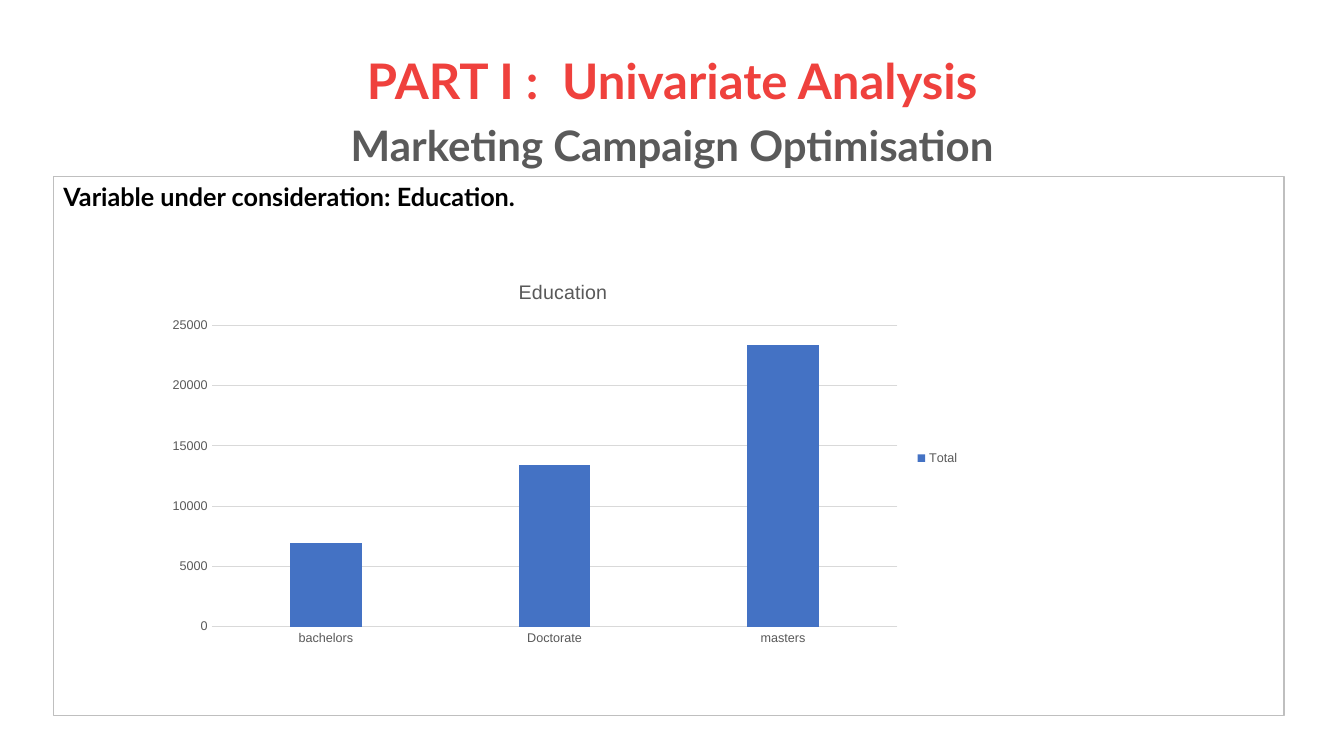
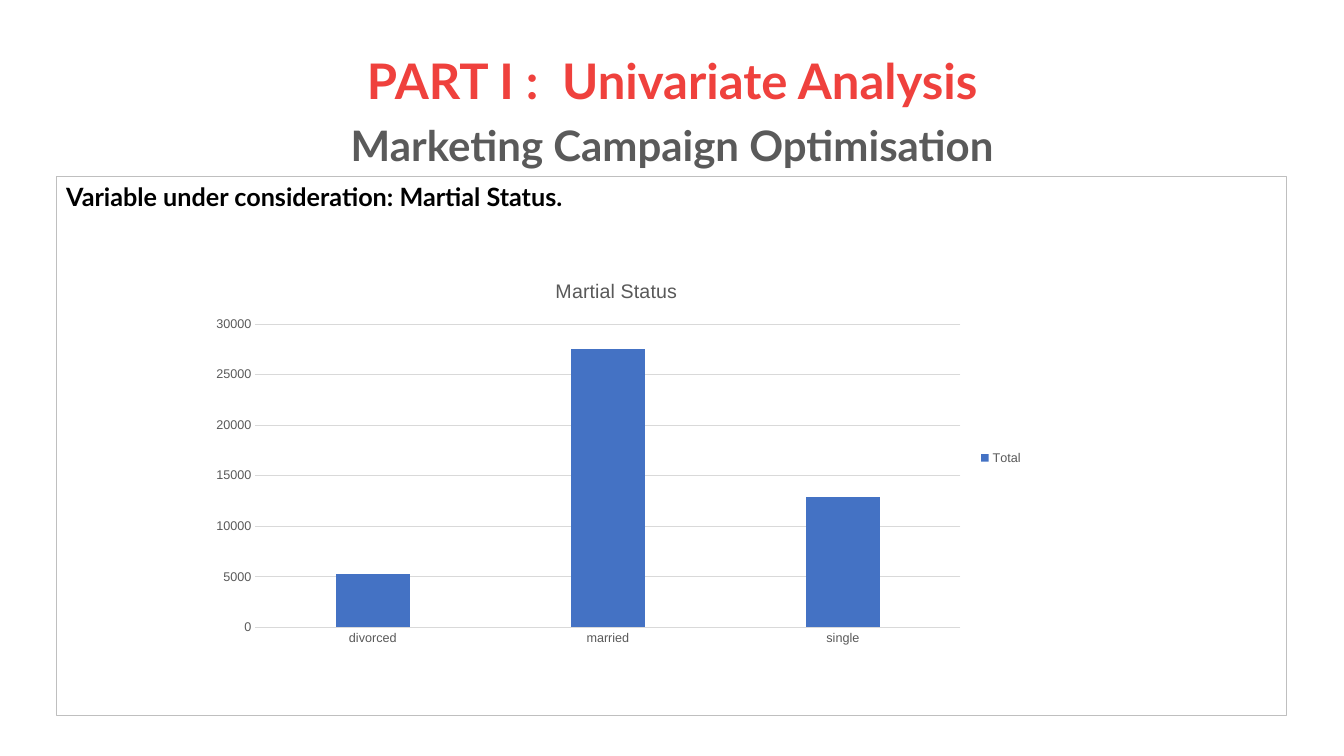
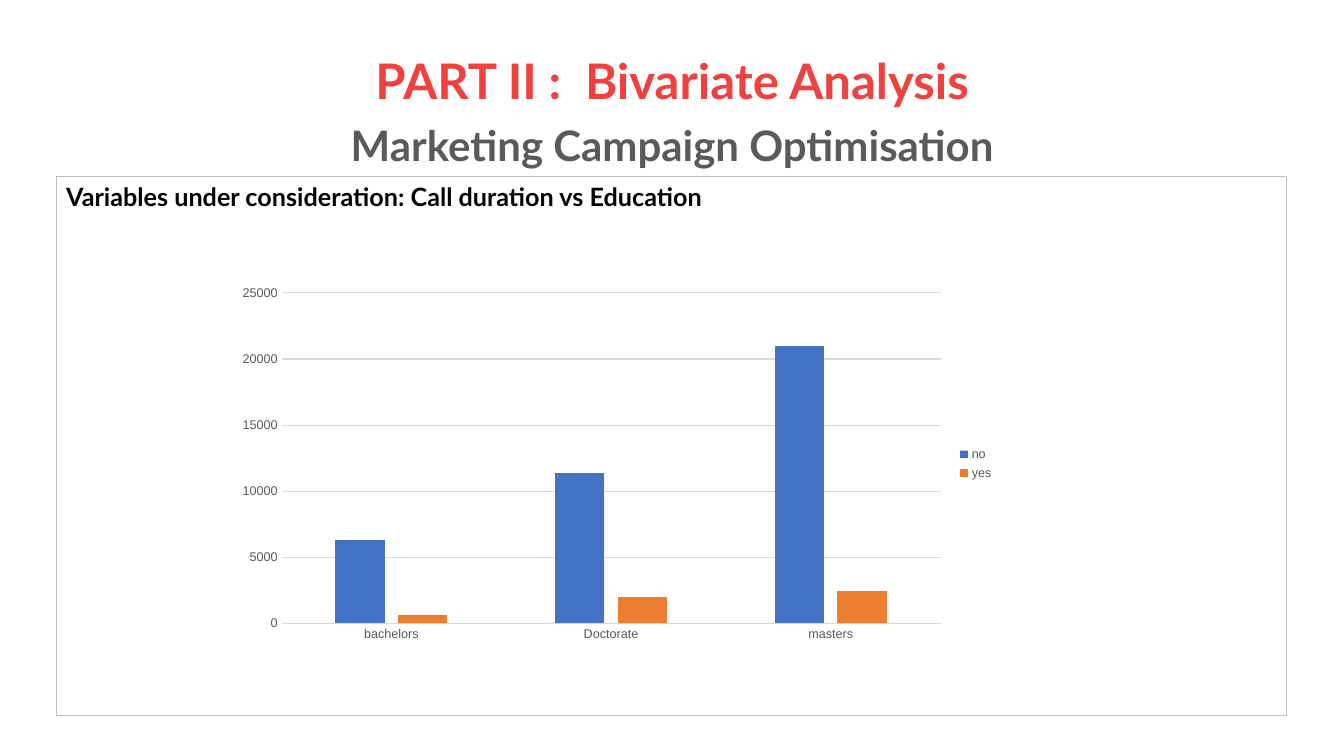
from pptx import Presentation
from pptx.chart.data import CategoryChartData
from pptx.dml.color import RGBColor
from pptx.enum.chart import XL_CHART_TYPE as ChartType, XL_LEGEND_POSITION as LegendPosition
from pptx.enum.chart import XL_TICK_MARK as TickMark
from pptx.enum.shapes import MSO_SHAPE as Shape
from pptx.enum.text import MSO_ANCHOR as Anchor, PP_ALIGN as Align
from pptx.util import Cm, Pt

RED = "EF413D"
GREY = "5A5A5A"
BLACK = "000000"
PANEL_LINE = "BFBFBF"
CHART_TEXT = "595959"
CHART_LINE = "D9D9D9"
SERIES_COLORS = ["4472C4", "ED7D31"]
TEXT_FONT = "Lato"
CHART_FONT = "Arial"
SUBTITLE = "Marketing Campaign Optimisation"

SLIDES = [
    {
        "title": "PART I :  Univariate Analysis",
        "heading": "Variable under consideration: Education.",
        "panel_left": 1.35,
        "chart_place": (3.94, 6.63, 20.5, 9.83),
        "chart_title": "Education",
        "categories": ["bachelors", "Doctorate", "masters"],
        "series": {"Total": [6900, 13400, 23400]},
        "top": 25000,
    },
    {
        "title": "PART I :  Univariate Analysis",
        "heading": "Variable under consideration: Martial Status.",
        "panel_left": 1.42,
        "chart_place": (5.03, 6.6, 21.01, 9.88),
        "chart_title": "Martial Status",
        "categories": ["divorced", "married", "single"],
        "series": {"Total": [5300, 27500, 12900]},
        "top": 30000,
    },
    {
        "title": "PART II :  Bivariate Analysis",
        "heading": "Variables under consideration: Call duration vs Education",
        "panel_left": 1.42,
        "chart_place": (5.72, 7.01, 19.58, 9.35),
        "chart_title": None,
        "categories": ["bachelors", "Doctorate", "masters"],
        "series": {"no": [6300, 11400, 21000], "yes": [600, 2000, 2400]},
        "top": 25000,
    },
]


def rgb(value):
    return RGBColor.from_string(value)


def set_font(font, size, color, name=TEXT_FONT, bold=False):
    font.size = Pt(size)
    font.name = name
    font.bold = bold
    font.color.rgb = rgb(color)


def write(para, text, size, color, name=TEXT_FONT, bold=True, align=Align.LEFT,
          before=0, spacing=1.0):
    para.alignment = align
    para.space_before = Pt(before)
    para.line_spacing = spacing
    span = para.add_run()
    span.text = text
    set_font(span.font, size, color, name, bold)


def add_title(page, title):
    box = page.shapes.add_textbox(Cm(2.34), Cm(1.02), Cm(29.21), Cm(3.68))
    frame = box.text_frame
    frame.word_wrap = True
    frame.vertical_anchor = Anchor.MIDDLE
    write(frame.paragraphs[0], title, 35, RED, align=Align.CENTER, spacing=0.9)
    write(frame.add_paragraph(), SUBTITLE, 30, GREY, align=Align.CENTER,
          before=10.8, spacing=0.9)


def add_panel(page, left, heading):
    panel = page.shapes.add_shape(Shape.RECTANGLE, Cm(left), Cm(4.45), Cm(31.01), Cm(13.59))
    panel.shadow.inherit = False
    panel.fill.background()
    panel.line.color.rgb = rgb(PANEL_LINE)
    panel.line.width = Pt(0.75)
    frame = panel.text_frame
    frame.word_wrap = True
    frame.vertical_anchor = Anchor.TOP
    write(frame.paragraphs[0], heading, 18, BLACK)


def style_line(line):
    line.color.rgb = rgb(CHART_LINE)
    line.width = Pt(0.75)


def style_axes(chart, top):
    for axis in (chart.category_axis, chart.value_axis):
        axis.major_tick_mark = TickMark.NONE
        axis.minor_tick_mark = TickMark.NONE
        set_font(axis.tick_labels.font, 9, CHART_TEXT, CHART_FONT)
    style_line(chart.category_axis.format.line)
    values = chart.value_axis
    values.format.line.fill.background()
    values.minimum_scale = 0
    values.maximum_scale = top
    values.major_unit = 5000
    style_line(values.major_gridlines.format.line)


def add_column_chart(page, place, title, categories, series, top):
    data = CategoryChartData()
    data.categories = categories
    for name, values in series.items():
        data.add_series(name, values)
    lengths = [Cm(length) for length in place]
    chart = page.shapes.add_chart(ChartType.COLUMN_CLUSTERED, *lengths, data).chart
    set_font(chart.font, 10, BLACK, CHART_FONT)
    chart.has_title = title is not None
    if title:
        write(chart.chart_title.text_frame.paragraphs[0], title, 14, CHART_TEXT,
              CHART_FONT, bold=False, align=Align.CENTER)
    chart.has_legend = True
    chart.legend.position = LegendPosition.RIGHT
    chart.legend.include_in_layout = False
    set_font(chart.legend.font, 9, CHART_TEXT, CHART_FONT)
    style_axes(chart, top)
    plot = chart.plots[0]
    plot.vary_by_categories = False
    plot.gap_width = 219
    plot.overlap = -27
    for columns, color in zip(plot.series, SERIES_COLORS):
        columns.format.fill.solid()
        columns.format.fill.fore_color.rgb = rgb(color)


def main():
    deck = Presentation()
    deck.slide_width = Cm(33.87)
    deck.slide_height = Cm(19.05)
    for content in SLIDES:
        page = deck.slides.add_slide(deck.slide_layouts[6])
        add_title(page, content["title"])
        add_panel(page, content["panel_left"], content["heading"])
        add_column_chart(page, content["chart_place"], content["chart_title"],
                         content["categories"], content["series"], content["top"])
    deck.save("out.pptx")


if __name__ == "__main__":
    main()
